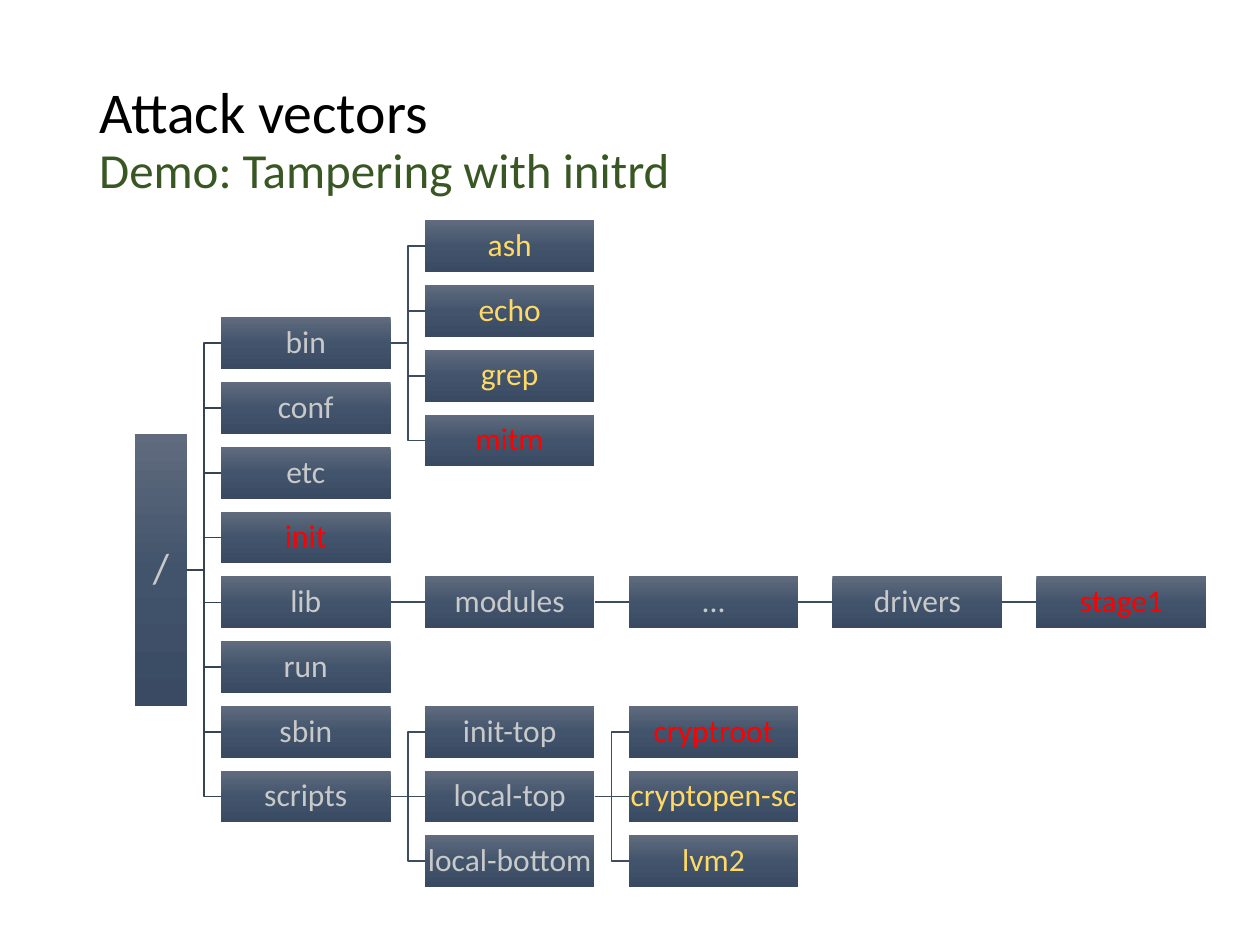
from copy import deepcopy

from pptx import Presentation
from pptx.dml.color import RGBColor
from pptx.enum.shapes import MSO_CONNECTOR, MSO_SHAPE
from pptx.enum.text import MSO_ANCHOR, MSO_AUTO_SIZE, PP_ALIGN
from pptx.oxml.ns import qn
from pptx.util import Pt

COLORS = {
    "title": "000000", "subtitle": "385723",
    "plain": "C9C9C9", "called": "FFD966", "tampered": "FF0000",
    "box_top": "606B7D", "box_middle": "42546C", "box_bottom": "394A62",
    "root_line": "364355", "branch_line": "3E4C60",
}


def write(paragraph, text, size=18, color="plain", align=PP_ALIGN.CENTER):
    paragraph.alignment = align
    paragraph.line_spacing = 0.9
    run = paragraph.add_run()
    run.text = text
    run.font.size = Pt(size)
    run.font.name = "Calibri"
    run.font.color.rgb = RGBColor.from_string(COLORS[color])


def add_box(left, top, width, height):
    box = slide.shapes.add_shape(
        MSO_SHAPE.RECTANGLE, Pt(left), Pt(top), Pt(width), Pt(height))
    box.shadow.inherit = False
    box.line.fill.background()
    box.fill.gradient()
    box.fill.gradient_angle = 270
    # The default gradient has two stops; add one halfway
    first_stop = box._element.spPr.find(".//" + qn("a:gs"))
    first_stop.addnext(deepcopy(first_stop))
    stops = zip(box.fill.gradient_stops, (0, 0.5, 1),
                ("box_top", "box_middle", "box_bottom"))
    for stop, position, color in stops:
        stop.position = position
        stop.color.rgb = RGBColor.from_string(COLORS[color])
    frame = box.text_frame
    frame.margin_left = frame.margin_right = Pt(0.8)
    frame.margin_top = frame.margin_bottom = Pt(0.8)
    frame.vertical_anchor = MSO_ANCHOR.MIDDLE
    frame.word_wrap = False
    return box


prs = Presentation()
prs.slide_width, prs.slide_height = Pt(720), Pt(540)
slide = prs.slides.add_slide(prs.slide_layouts[5])

# Title and subtitle
title = slide.shapes.title
title.left, title.top, title.width, title.height = Pt(49.5), Pt(28.75), Pt(621), Pt(104.4)
title.text_frame.auto_size = MSO_AUTO_SIZE.NONE
title.text_frame.vertical_anchor = MSO_ANCHOR.MIDDLE
heading = title.text_frame.paragraphs[0]
write(heading, "Attack vectors", size=33, color="title", align=PP_ALIGN.LEFT)
heading.add_line_break()
write(heading, "Demo: Tampering with initrd", size=28, color="subtitle", align=PP_ALIGN.LEFT)

# File tree: name, parent, column, row, colour
TREE = [
    ("bin", "/", 0, 1.5, "plain"),
    ("ash", "bin", 1, 0, "called"),
    ("echo", "bin", 1, 1, "called"),
    ("grep", "bin", 1, 2, "called"),
    ("mitm", "bin", 1, 3, "tampered"),
    ("conf", "/", 0, 2.5, "plain"),
    ("etc", "/", 0, 3.5, "plain"),
    ("init", "/", 0, 4.5, "tampered"),
    ("lib", "/", 0, 5.5, "plain"),
    ("modules", "lib", 1, 5.5, "plain"),
    ("...", "modules", 2, 5.5, "plain"),
    ("drivers", "...", 3, 5.5, "plain"),
    ("stage1", "drivers", 4, 5.5, "tampered"),
    ("run", "/", 0, 6.5, "plain"),
    ("sbin", "/", 0, 7.5, "plain"),
    ("scripts", "/", 0, 8.5, "plain"),
    ("init-top", "scripts", 1, 7.5, "plain"),
    ("local-top", "scripts", 1, 8.5, "plain"),
    ("cryptroot", "local-top", 2, 7.5, "tampered"),
    ("cryptopen-sc", "local-top", 2, 8.5, "called"),
    ("lvm2", "local-top", 2, 9.5, "called"),
    ("local-bottom", "scripts", 1, 9.5, "plain"),
]
TREE_LEFT, TREE_TOP = 126.25, 125.9
COLUMN_STEP, ROW_STEP = 116.5, 37
BOX_WIDTH, BOX_HEIGHT = 97, 29.6
ROOT_HEIGHT, ROOT_ROW = 155.6, 5

root_top = TREE_TOP + ROOT_ROW * ROW_STEP + (BOX_HEIGHT - ROOT_HEIGHT) / 2
boxes = {"/": add_box(77.25, root_top, BOX_HEIGHT, ROOT_HEIGHT)}
write(boxes["/"].text_frame.paragraphs[0], "/", size=24)

for name, parent, column, row, color in TREE:
    boxes[name] = add_box(TREE_LEFT + column * COLUMN_STEP,
                          TREE_TOP + row * ROW_STEP, BOX_WIDTH, BOX_HEIGHT)
    write(boxes[name].text_frame.paragraphs[0], name, color=color)

# Branches from the right side of each parent to the left side of its child
rows = {"/": ROOT_ROW} | {name: row for name, _, _, row, _ in TREE}
for name, parent, _, row, _ in TREE:
    kind = MSO_CONNECTOR.STRAIGHT if row == rows[parent] else MSO_CONNECTOR.ELBOW
    branch = slide.shapes.add_connector(kind, 0, 0, 0, 0)
    branch.begin_connect(boxes[parent], 3)
    branch.end_connect(boxes[name], 1)
    branch.line.width = Pt(1)
    branch.line.color.rgb = RGBColor.from_string(
        COLORS["root_line" if parent == "/" else "branch_line"])
    branch._element.spPr.append(
        branch._element.spPr.makeelement(qn("a:effectLst"), {}))

prs.save("out.pptx")
